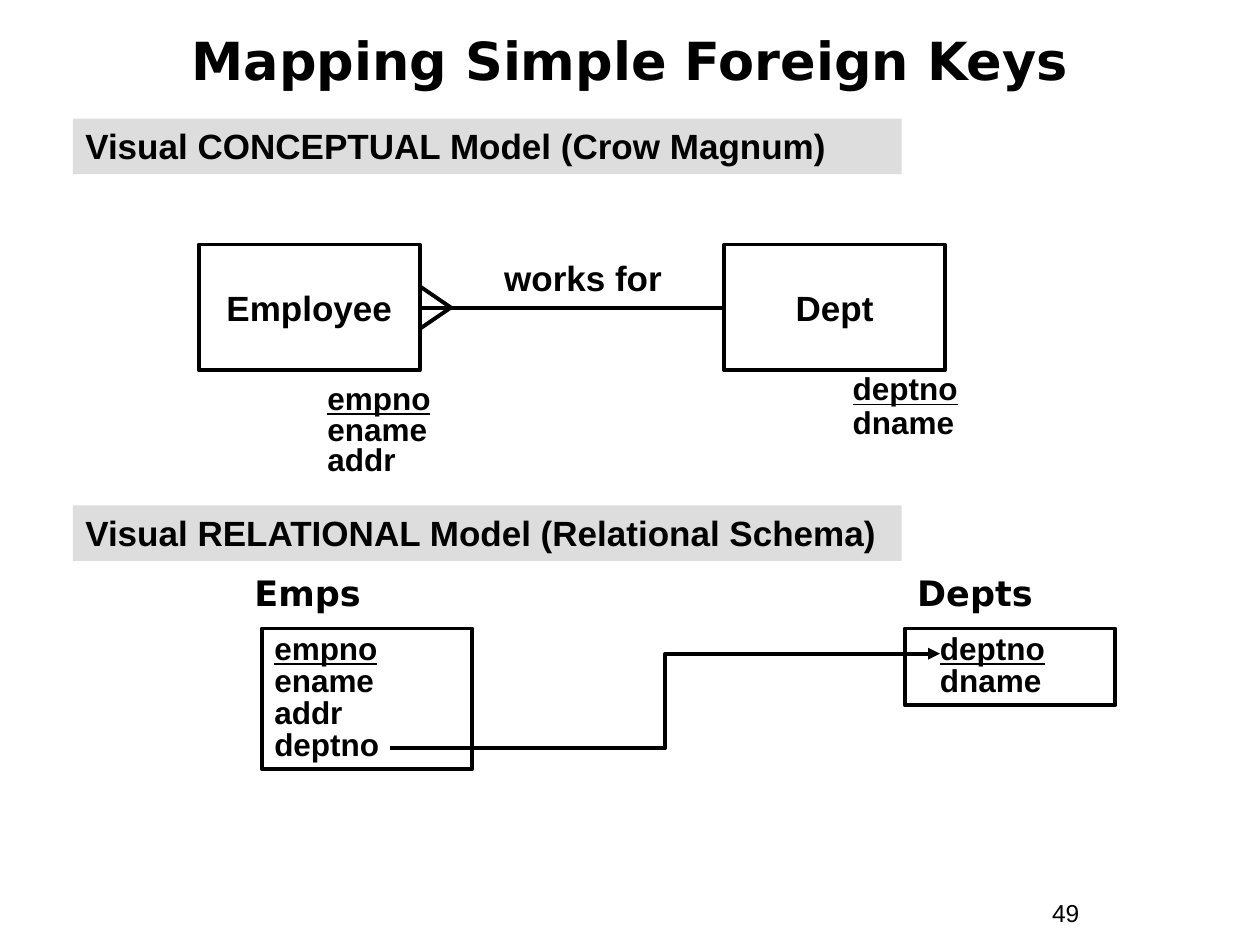
from lxml import etree
from pptx import Presentation
from pptx.dml.color import RGBColor
from pptx.enum.shapes import MSO_CONNECTOR as Link, MSO_SHAPE as Shape
from pptx.enum.text import MSO_ANCHOR as Anchor, PP_ALIGN as Align
from pptx.oxml.ns import qn
from pptx.util import Cm, Pt

BLACK = "000000"
BAND = "DDDDDD"
LINE_WIDTH = Pt(2.25)


def color(value):
    return RGBColor.from_string(value)


def write(box, lines, size=20, font="Arial", bold=True, align=Align.LEFT,
          anchor=Anchor.TOP, spacings=(1,), key=False, wrap=True):
    frame = box.text_frame
    frame.word_wrap = wrap
    frame.vertical_anchor = anchor
    for index, line in enumerate(lines):
        para = frame.paragraphs[0] if index == 0 else frame.add_paragraph()
        para.text = line
        para.alignment = align
        para.line_spacing = spacings[min(index, len(spacings) - 1)]
        para.font.name = font
        para.font.size = Pt(size)
        para.font.bold = bold
        para.font.underline = key and index == 0
        para.font.color.rgb = color(BLACK)


def add_text(page, left, top, width, height, lines, **style):
    box = page.shapes.add_textbox(Cm(left), Cm(top), Cm(width), Cm(height))
    write(box, lines, **style)


def add_rectangle(page, left, top, width, height, lines, fill=None, **style):
    box = page.shapes.add_shape(Shape.RECTANGLE, Cm(left), Cm(top), Cm(width), Cm(height))
    box.shadow.inherit = False
    if fill:
        box.fill.solid()
        box.fill.fore_color.rgb = color(fill)
        box.line.fill.background()
    else:
        box.fill.background()
        box.line.color.rgb = color(BLACK)
        box.line.width = LINE_WIDTH
    write(box, lines, **style)
    return box


def add_line(page, start, end, kind=Link.STRAIGHT, arrow=False):
    line = page.shapes.add_connector(kind, *map(Cm, start + end))
    line.line.color.rgb = color(BLACK)
    line.line.width = LINE_WIDTH
    properties = line._element.spPr
    if arrow:
        etree.SubElement(properties.find(qn("a:ln")), qn("a:tailEnd"), type="triangle")
    etree.SubElement(properties, qn("a:effectLst"))
    return line


def add_entity(page, left, top, name, attributes, gap, height, spacings):
    entity = add_rectangle(page, left, top, 4.45, 2.54, [name],
                           align=Align.CENTER, anchor=Anchor.MIDDLE, wrap=False)
    add_text(page, left + 2.34, top + 2.54 + gap, 2.97, height, attributes,
             size=18, spacings=spacings, key=True)
    return entity


def add_relation(page, left, top, name, name_left, columns, height, inset):
    add_text(page, name_left, top, 5.46, 1.12, [name], font="DejaVu Sans")
    table = add_rectangle(page, left, top + 1.27, 4.24, height, columns,
                          size=18, spacings=(0.85,), key=True)
    table.text_frame.margin_left = Cm(inset)


def add_conceptual_model(page, left, top, width):
    add_rectangle(page, left, top, width, 1.12,
                  ["Visual CONCEPTUAL Model (Crow Magnum)"], fill=BAND)
    employee = add_entity(page, left + 2.54, top + 2.54, "Employee",
                          ["empno", "ename", "addr"], 0.2, 2.08, (0.8,))
    dept = add_entity(page, left + 13.13, top + 2.54, "Dept",
                      ["deptno", "dname"], 0, 1.55, (0.8, 0.9))
    middle = top + 3.81
    side = left + 6.99
    works_for = add_line(page, (left + 13.13, middle), (side, middle))
    works_for.begin_connect(dept, 1)
    works_for.end_connect(employee, 3)
    for spread in (-0.43, 0.43):
        add_line(page, (side + 0.63, middle), (side, middle + spread))
    add_text(page, left + 8.28, top + 2.66, 4.01, 1.12, ["works for"], align=Align.CENTER)


def add_relational_model(page, left, top, width):
    add_rectangle(page, left, top, width, 1.12,
                  ["Visual RELATIONAL Model (Relational Schema)"], fill=BAND)
    add_relation(page, left + 3.81, top + 1.21, "Emps", left + 3.41,
                 ["empno", "ename", "addr", "deptno"], 2.84, 0.25)
    add_relation(page, left + 16.77, top + 1.21, "Depts", left + 16.77,
                 ["deptno", "dname"], 1.55, 0.71)
    add_line(page, (left + 6.4, top + 4.9), (left + 17.48, top + 2.99),
             kind=Link.ELBOW, arrow=True)


def main():
    deck = Presentation()
    deck.slide_width, deck.slide_height = Cm(25.4), Cm(19.05)
    page = deck.slides.add_slide(deck.slide_layouts[6])
    add_text(page, 20.96, 17.98, 2.34, 0.86, ["49"], size=14, bold=False)
    add_text(page, 0.64, 0.46, 24.13, 1.47, ["Mapping Simple Foreign Keys"],
             size=30, font="DejaVu Sans", align=Align.CENTER, anchor=Anchor.MIDDLE)
    add_conceptual_model(page, 1.47, 2.39, 16.71)
    add_relational_model(page, 1.47, 10.19, 16.71)
    deck.save("out.pptx")


if __name__ == "__main__":
    main()
